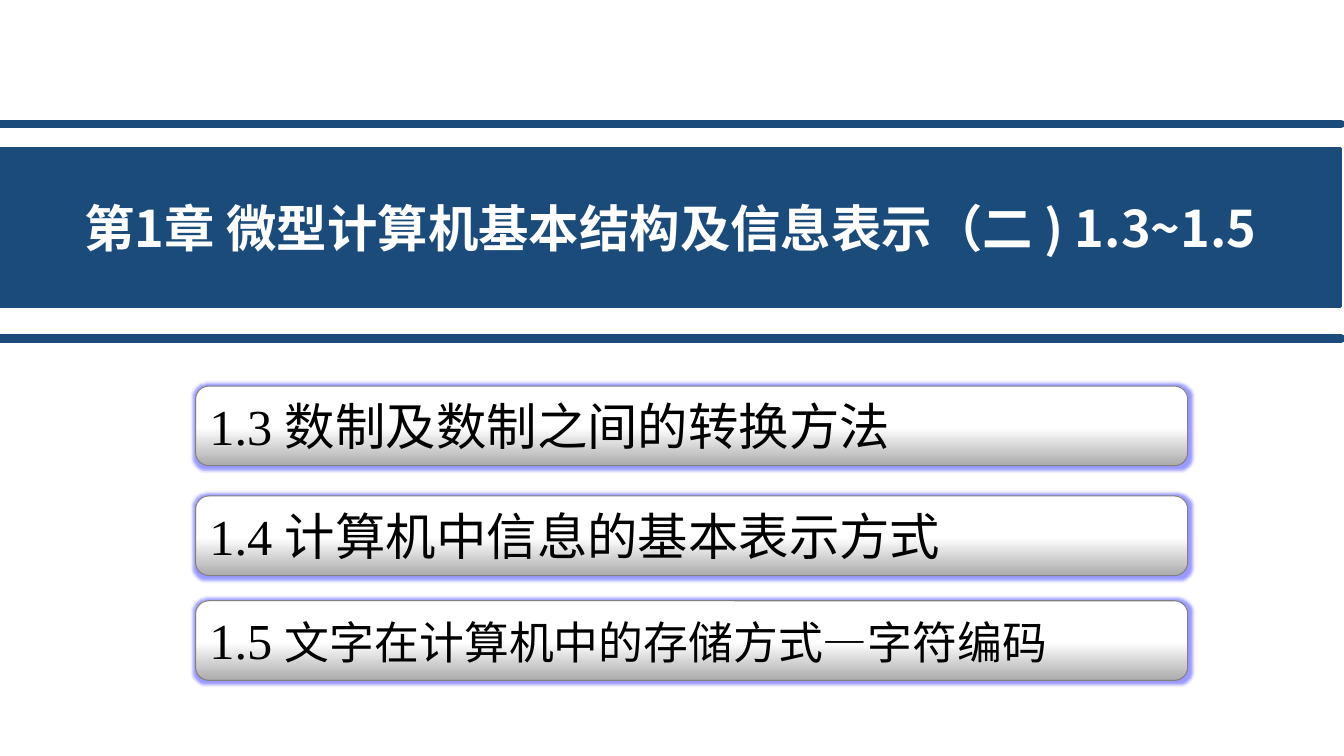
from lxml.etree import SubElement
from pptx import Presentation
from pptx.dml.color import RGBColor
from pptx.enum.shapes import MSO_CONNECTOR, MSO_SHAPE
from pptx.enum.text import MSO_ANCHOR, PP_ALIGN
from pptx.oxml.ns import qn
from pptx.util import Inches, Pt

NAVY = RGBColor(0x1B, 0x4B, 0x7B)
WHITE = RGBColor(0xFF, 0xFF, 0xFF)
BLACK = RGBColor(0, 0, 0)
SILVER = RGBColor(0xAB, 0xAB, 0xAB)
GRAY = RGBColor(0x80, 0x80, 0x80)
GLOW = RGBColor(0x99, 0x99, 0xFF)


class Cover:
    """Draws the parts of a chapter cover in one style."""

    serif = "Times New Roman"
    sans = "Noto Sans CJK SC"

    def __init__(self, slide):
        self.slide = slide

    def box(self, kind, left, top, width, height, edge, weight):
        shape = self.slide.shapes.add_shape(
            kind, Inches(left), Inches(top), Inches(width), Inches(height))
        shape.shadow.inherit = False
        shape.line.color.rgb = edge
        shape.line.width = Pt(weight)
        return shape

    def style(self, para, name, color, align, bold=False):
        para.alignment = align
        font = para.font
        font.name = name
        font.size = Pt(36)
        font.bold = bold
        font.color.rgb = color
        for tag in ("a:ea", "a:cs"):
            SubElement(font._element, qn(tag), typeface=self.sans)

    def banner(self, text, top, height):
        shape = self.box(MSO_SHAPE.RECTANGLE, 0, top, 13.3, height, NAVY, 2)
        shape.fill.solid()
        shape.fill.fore_color.rgb = NAVY
        frame = shape.text_frame
        frame.word_wrap = True
        frame.vertical_anchor = MSO_ANCHOR.MIDDLE
        frame.text = text
        self.style(frame.paragraphs[0], self.sans, WHITE, PP_ALIGN.CENTER, True)

    def rule(self, top):
        line = self.slide.shapes.add_connector(
            MSO_CONNECTOR.STRAIGHT, 0, Inches(top), Inches(13.3), Inches(top))
        line.line.color.rgb = NAVY
        line.line.width = Pt(6)
        line.line._get_or_add_ln().set("cap", "rnd")
        SubElement(line._element.spPr, qn("a:effectLst"))

    def topic(self, number, text, top, size):
        shape = self.box(
            MSO_SHAPE.ROUNDED_RECTANGLE, 1.94, top, 9.84, 0.79, GRAY, 0.75)
        shape.fill.gradient()
        shape.fill.gradient_angle = 90
        stops = zip(shape.fill.gradient_stops, (0, 0.48), (SILVER, WHITE))
        for stop, place, color in stops:
            stop.position = place
            stop.color.rgb = color
        effects = shape._element.spPr.find(qn("a:effectLst"))
        glow = SubElement(effects, qn("a:glow"), rad=str(Pt(5)))
        tint = SubElement(glow, qn("a:srgbClr"), val=str(GLOW))
        SubElement(tint, qn("a:alpha"), val="100000")
        frame = shape.text_frame
        frame.word_wrap = False
        frame.vertical_anchor = MSO_ANCHOR.TOP
        para = frame.paragraphs[0]
        self.style(para, self.serif, BLACK, PP_ALIGN.LEFT)
        para.add_run().text = number + " "
        label = para.add_run()
        label.text = text
        label.font.size = Pt(size)


def main():
    deck = Presentation()
    deck.slide_width = Inches(13.33)
    deck.slide_height = Inches(7.5)
    cover = Cover(deck.slides.add_slide(deck.slide_layouts[6]))
    topics = (
        ("1.3", "数制及数制之间的转换方法", 3.83, 36),
        ("1.4", "计算机中信息的基本表示方式", 4.92, 36),
        ("1.5", "文字在计算机中的存储方式—字符编码", 5.96, 32),
    )
    for topic in topics:
        cover.topic(*topic)
    cover.banner("第1章 微型计算机基本结构及信息表示（二 ) 1.3~1.5", 1.47, 1.57)
    for top in (3.36, 1.23):
        cover.rule(top)
    deck.save("out.pptx")


if __name__ == "__main__":
    main()
